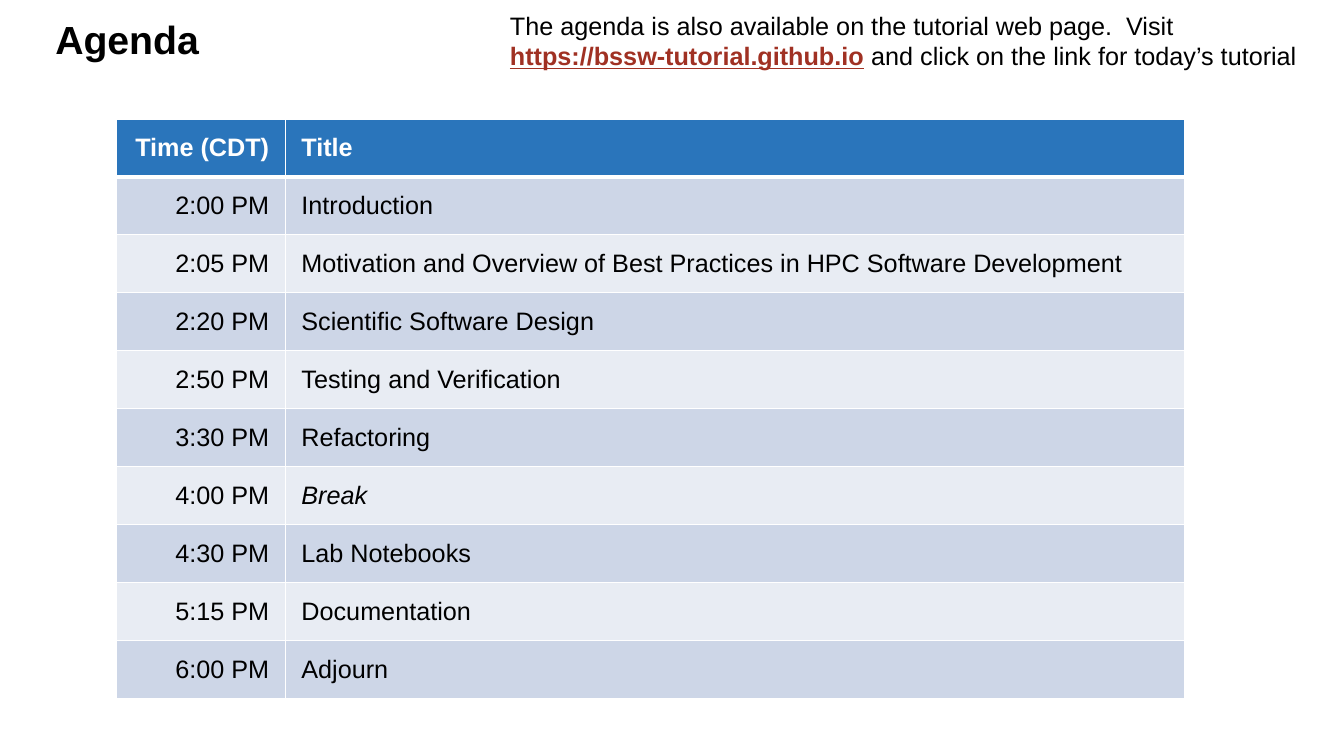
"""Build the tutorial agenda slide."""
from dataclasses import dataclass

from lxml import etree
from pptx import Presentation, util as u
from pptx.dml.color import RGBColor
from pptx.enum import text
from pptx.oxml import ns

PX = 9144
FONT = "Arial"
COLORS = {
    "black": "000000",
    "white": "FFFFFF",
    "link": "A03123",
    "header": "2A75BB",
    "odd": "CDD6E7",
    "even": "E8ECF3",
}
TABLE_LEFT, TABLE_TOP = 115, 118
COLUMN_WIDTHS = (168, 892)
ROW_HEIGHT = 58 * PX - PX // 2


@dataclass(frozen=True)
class Style:
    size: int = 18
    color: str = "black"
    bold: bool = False
    italic: bool = False
    underline: bool = False


@dataclass(frozen=True)
class Session:
    time: str
    title: str
    italic: bool = False


SESSIONS = (
    Session("2:00 PM", "Introduction"),
    Session("2:05 PM", "Motivation and Overview of Best Practices in HPC Software Development"),
    Session("2:20 PM", "Scientific Software Design"),
    Session("2:50 PM", "Testing and Verification"),
    Session("3:30 PM", "Refactoring"),
    Session("4:00 PM", "Break", italic=True),
    Session("4:30 PM", "Lab Notebooks"),
    Session("5:15 PM", "Documentation"),
    Session("6:00 PM", "Adjourn"),
)
NOTICE = (
    ("The agenda is also available on the tutorial web page.  Visit ", Style()),
    ("https://bssw-tutorial.github.io", Style(color="link", bold=True, underline=True)),
    (" and click on the link for today’s tutorial", Style()),
)


def rgb(name: str) -> RGBColor:
    return RGBColor.from_string(COLORS[name])


def format_run(run, style: Style) -> None:
    font = run.font
    font.name = FONT
    font.size = u.Pt(style.size)
    font.bold, font.italic, font.underline = style.bold, style.italic, style.underline
    font.color.rgb = rgb(style.color)


def add_text(slide, left: int, top: int, width: int, height: int, pieces):
    box = slide.shapes.add_textbox(left * PX, top * PX, width * PX, height * PX)
    box.text_frame.word_wrap = True
    paragraph = box.text_frame.paragraphs[0]
    for words, style in pieces:
        run = paragraph.add_run()
        run.text = words
        format_run(run, style)
    return paragraph


def add_border(cell, side: str, points: int) -> None:
    properties = cell._tc.get_or_add_tcPr()
    line = etree.SubElement(properties, ns.qn(f"a:ln{side}"), w=str(u.Pt(points)))
    fill = etree.SubElement(line, ns.qn("a:solidFill"))
    etree.SubElement(fill, ns.qn("a:srgbClr"), val=COLORS["white"])


def fill_cell(cell, words: str, row: int, right: bool, style: Style) -> None:
    cell.margin_left = cell.margin_right = 16 * PX
    cell.margin_top = cell.margin_bottom = 10 * PX
    cell.vertical_anchor = text.MSO_ANCHOR.MIDDLE
    borders = {"L": 1, "R": 1, "T": 3 if row == 1 else 1, "B": 3 if row == 0 else 1}
    for side, points in borders.items():
        add_border(cell, side, points)
    cell.fill.solid()
    cell.fill.fore_color.rgb = rgb("header" if row == 0 else "odd" if row % 2 else "even")
    cell.text_frame.text = words
    paragraph = cell.text_frame.paragraphs[0]
    paragraph.alignment = text.PP_ALIGN.RIGHT if right else text.PP_ALIGN.LEFT
    format_run(paragraph.runs[0], style)


def add_agenda(slide) -> None:
    rows = (Session("Time (CDT)", "Title"), *SESSIONS)
    table = slide.shapes.add_table(
        len(rows), len(COLUMN_WIDTHS), TABLE_LEFT * PX, TABLE_TOP * PX,
        sum(COLUMN_WIDTHS) * PX, len(rows) * ROW_HEIGHT,
    ).table
    for column, width in zip(table.columns, COLUMN_WIDTHS):
        column.width = width * PX
    for index, session in enumerate(rows):
        table.rows[index].height = ROW_HEIGHT
        header = index == 0
        color = "white" if header else "black"
        fill_cell(table.cell(index, 0), session.time, index, True,
                  Style(color=color, bold=header))
        fill_cell(table.cell(index, 1), session.title, index, False,
                  Style(color=color, bold=header, italic=session.italic))


def main() -> None:
    presentation = Presentation()
    presentation.slide_width = u.Inches(13.33)
    presentation.slide_height = u.Inches(7.5)
    slide = presentation.slides.add_slide(presentation.slide_layouts[6])
    title = add_text(slide, 45, 17, 1244, 100, [("Agenda", Style(size=28, bold=True))])
    title.line_spacing = 0.85
    add_agenda(slide)
    add_text(slide, 496, 5, 837, 71, NOTICE)
    presentation.save("out.pptx")


if __name__ == "__main__":
    main()
